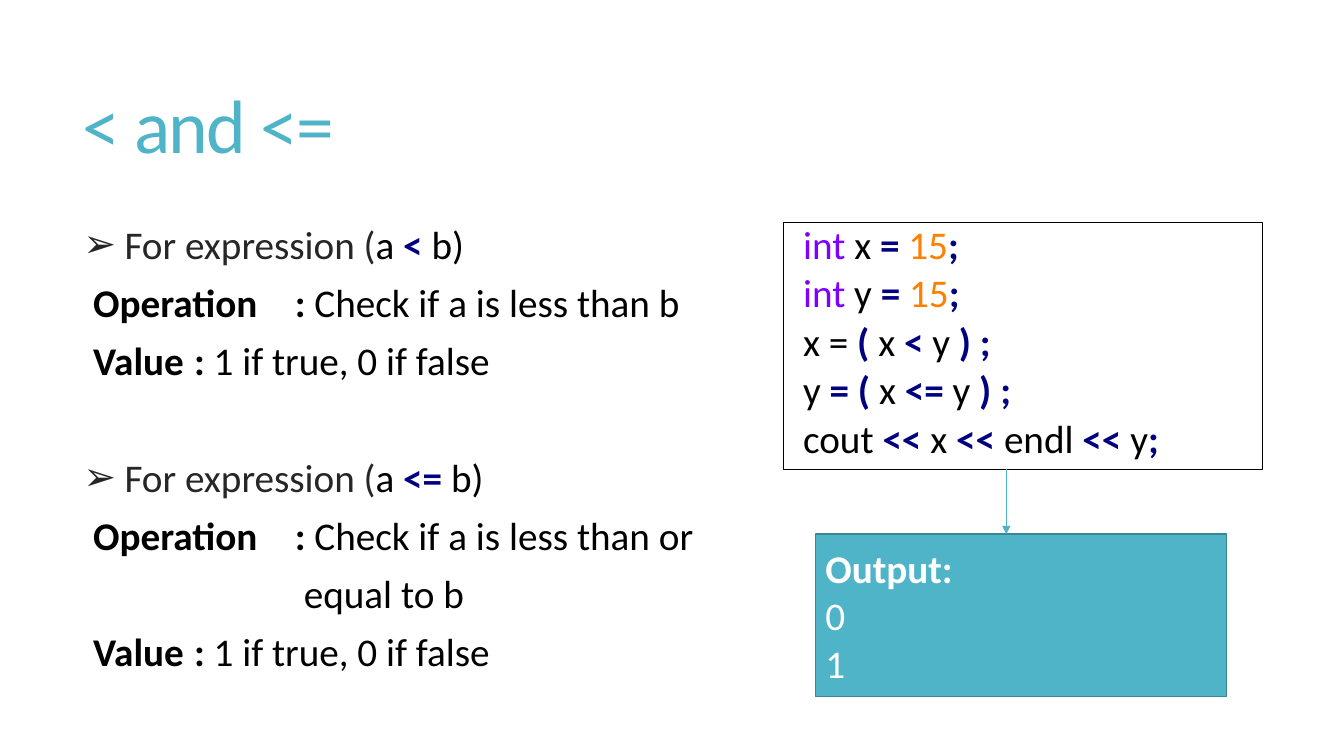
from lxml import etree
from pptx import Presentation
from pptx.dml.color import RGBColor
from pptx.enum.shapes import MSO_CONNECTOR as Connector, MSO_SHAPE as Shape
from pptx.enum.text import MSO_ANCHOR as Anchor, PP_ALIGN as Align
from pptx.oxml.ns import qn
from pptx.util import Cm, Pt

# Content: every line is a list of (style, text) runs
TITLE = "< and <="
TRUTH = [("strong", "Value\t: "), ("plain", "1 if true, 0 if false")]
EXPRESSIONS = [
    {"operator": "<", "meaning": ["Check if a is less than b"]},
    {"operator": "<=", "meaning": ["Check if a is less than or", "equal to b"]},
]
CODE = [
    [("keyword", "int "), ("plain", "x "), ("operator", "= "),
     ("number", "15"), ("operator", ";")],
    [("keyword", "int"), ("plain", " y "), ("operator", "= "),
     ("number", "15"), ("operator", ";")],
    [("plain", "x = "), ("operator", "( "), ("plain", "x "),
     ("operator", "< "), ("plain", "y"), ("operator", " ) ;")],
    [("plain", "y "), ("operator", "= ( "), ("plain", "x "),
     ("operator", "<= "), ("plain", "y"), ("operator", " ) ;")],
    [("plain", "cout "), ("operator", "<< "), ("plain", "x "),
     ("operator", "<< "), ("plain", "endl "), ("operator", "<< "),
     ("plain", "y"), ("operator", ";")],
]
OUTPUT = [[("heading", "Output:")], [("result", "0")], [("result", "1")]]

# Style: colour and weight of each kind of run
TEAL = "50B4C8"
STYLES = {
    "title": (TEAL, False), "lead": ("262626", False),
    "plain": ("000000", False), "strong": ("000000", True),
    "keyword": ("8000FF", False), "number": ("FF8000", False),
    "operator": ("000080", True),
    "heading": ("FFFFFF", True), "result": ("FFFFFF", False),
}

# Places: left, top, width, height in cm
TITLE_BOX = (1.83, 0.99, 29.92, 4.6)
NOTES_BOX = (1.85, 5.61, 16.99, 11.2)
CODE_BOX = (19.74, 5.61, 12.07, 6.22)
OUTPUT_BOX = (20.55, 13.46, 10.36, 4.09)
ARROW_X = 25.36


def color(value):
    return RGBColor.from_string(value)


def place(box):
    return [Cm(length) for length in box]


def write(frame, runs, size=28, spacing=1.0, before=0, margin=0, hanging=0,
          bullet=None, tab=None, tracking=None):
    """Add one formatted line to a text frame."""
    line = frame.paragraphs[0]
    if line.runs:
        line = frame.add_paragraph()
    line.alignment = Align.LEFT
    line.line_spacing = spacing
    line.space_before = Pt(before)
    for style, text in runs:
        run = line.add_run()
        run.text = text
        run.font.name, run.font.size = "Calibri", Pt(size)
        tint, run.font.bold = STYLES[style]
        run.font.color.rgb = color(tint)
        if tracking:
            run.font._element.set("spc", str(tracking))
    props = line._p.get_or_add_pPr()
    props.set("marL", str(Cm(margin)))
    props.set("indent", str(-Cm(hanging)))
    if bullet:
        etree.SubElement(props, qn("a:buFont")).set("typeface", "Wingdings 2")
        props[-1].set("typeface", "Arial")
        etree.SubElement(props, qn("a:buChar")).set("char", bullet)
    if tab:
        stops = etree.SubElement(props, qn("a:tabLst"))
        etree.SubElement(stops, qn("a:tab"), pos=str(Cm(tab)), algn="l")


def add_panel(box, lines, border, width, fill=None, anchor=Anchor.TOP, **layout):
    panel = slide.shapes.add_shape(Shape.RECTANGLE, *place(box))
    panel.shadow.inherit = False
    if fill:
        panel.fill.solid()
        panel.fill.fore_color.rgb = color(fill)
    else:
        panel.fill.background()
    panel.line.color.rgb = color(border)
    panel.line.width = Pt(width)
    panel.text_frame.word_wrap = True
    panel.text_frame.vertical_anchor = anchor
    for runs in lines:
        write(panel.text_frame, runs, **layout)


deck = Presentation()
deck.slide_width, deck.slide_height = Cm(33.87), Cm(19.05)
slide = deck.slides.add_slide(deck.slide_layouts[5])

# Title
title = slide.shapes.title
title.left, title.top, title.width, title.height = place(TITLE_BOX)
title.text_frame.vertical_anchor = Anchor.MIDDLE
write(title.text_frame, [("title", TITLE)], size=54, spacing=0.85, tracking=-120)

# Explanation of both operators
notes = slide.shapes.add_textbox(*place(NOTES_BOX)).text_frame
notes.word_wrap = True
body = {"spacing": 0.85, "before": 13}
for number, expression in enumerate(EXPRESSIONS):
    head = [("lead", "For expression ("), ("plain", "a "),
            ("operator", expression["operator"]), ("plain", " b)")]
    write(notes, head, spacing=0.85, before=54.5 if number else 13,
          margin=1.04, hanging=1.04, bullet="➢")
    first, *rest = expression["meaning"]
    write(notes, [("strong", "Operation\t: "), ("plain", first)],
          margin=0.25, tab=5.08, **body)
    for text in rest:
        write(notes, [("plain", text)], margin=5.56, **body)
    write(notes, TRUTH, margin=0.25, tab=5.08, **body)

# Code, and the output it leads to
add_panel(CODE_BOX, CODE, "000000", 0.75, spacing=0.85, before=6, margin=0.25)
add_panel(OUTPUT_BOX, OUTPUT, "3B8594", 1, fill=TEAL, anchor=Anchor.MIDDLE)

arrow = slide.shapes.add_connector(
    Connector.STRAIGHT, Cm(ARROW_X), Cm(CODE_BOX[1] + CODE_BOX[3]),
    Cm(ARROW_X), Cm(OUTPUT_BOX[1]))
arrow.line.color.rgb = color(TEAL)
arrow.line.width = Pt(0.75)
etree.SubElement(arrow.line._get_or_add_ln(), qn("a:tailEnd"), type="triangle")
etree.SubElement(arrow._element.spPr, qn("a:effectLst"))

deck.save("out.pptx")
